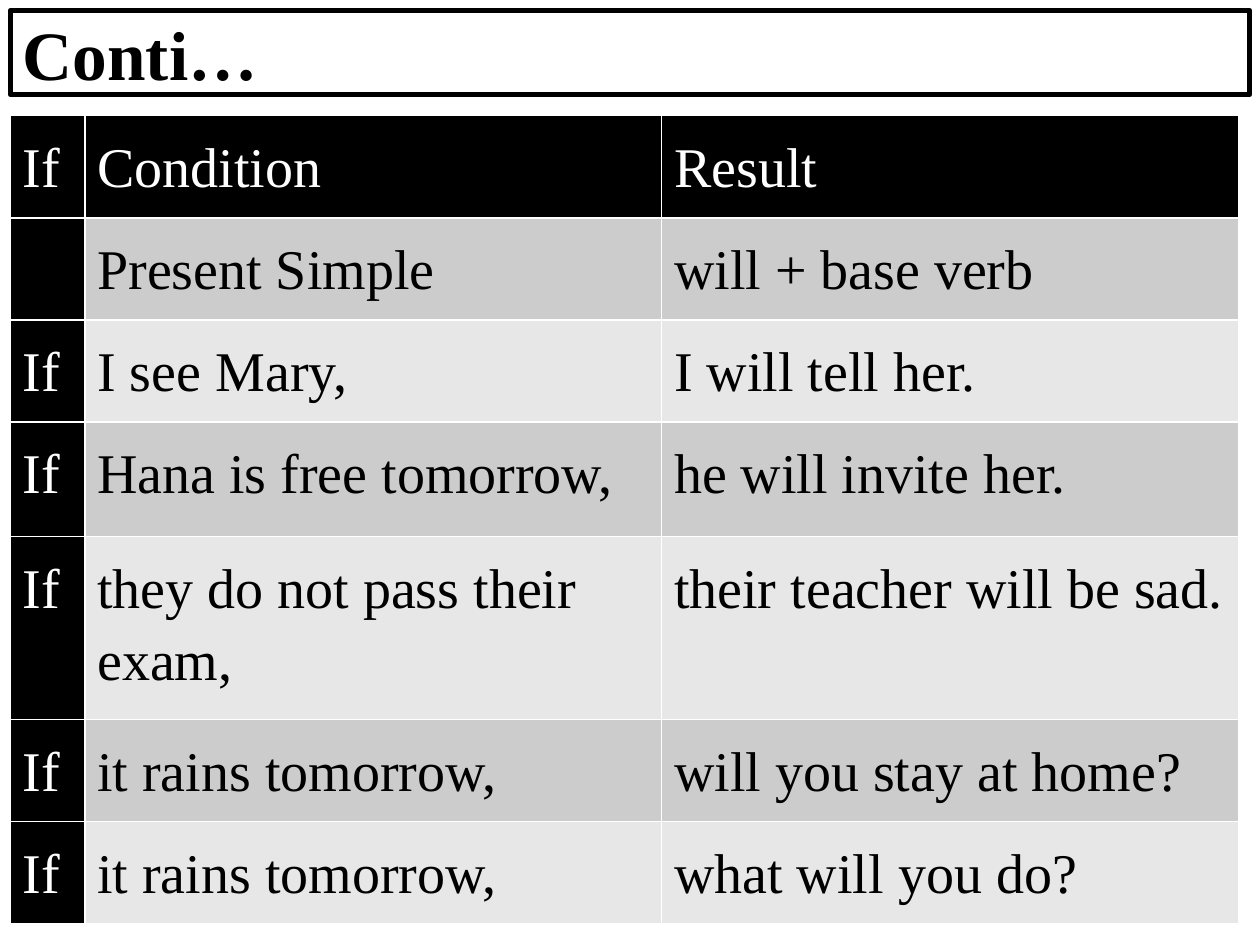
from lxml.etree import SubElement
from pptx import Presentation
from pptx.dml.color import RGBColor
from pptx.enum.shapes import MSO_SHAPE
from pptx.enum.text import MSO_ANCHOR, PP_ALIGN
from pptx.oxml.ns import qn
from pptx.util import Cm, Pt

BLACK = RGBColor(0x00, 0x00, 0x00)
WHITE = RGBColor(0xFF, 0xFF, 0xFF)
DARK_BAND = RGBColor(0xCC, 0xCC, 0xCC)
LIGHT_BAND = RGBColor(0xE7, 0xE7, 0xE7)

ROWS = [
    ("If", "Condition", "Result"),
    ("", "Present Simple", "will + base verb"),
    ("If", "I see Mary,", "I will tell her."),
    ("If", "Hana is free tomorrow,", "he will invite her."),
    ("If", "they do not pass their exam,", "their teacher will be sad."),
    ("If", "it rains tomorrow,", "will you stay at home?"),
    ("If", "it rains tomorrow,", "what will you do?"),
]
COLUMN_WIDTHS = [1.5, 11.63, 11.63]
ROW_HEIGHTS = [2.06, 2.06, 2.06, 2.31, 3.68, 2.06, 2.06]


def write_text(text_frame, text, size=32, color=BLACK, bold=False, line_spacing=1.0):
    text_frame.word_wrap = True
    paragraph = text_frame.paragraphs[0]
    paragraph.alignment = PP_ALIGN.LEFT
    paragraph.line_spacing = line_spacing
    paragraph.font.size = Pt(size)
    if text:
        run = paragraph.add_run()
        run.text = text
        run.font.name = "Times New Roman"
        run.font.size = Pt(size)
        run.font.bold = bold
        run.font.color.rgb = color


def add_borders(cell, color, width):
    properties = cell._tc.get_or_add_tcPr()
    for position, side in enumerate(("lnL", "lnR", "lnT", "lnB")):
        line = SubElement(properties, qn(f"a:{side}"), w=str(Pt(width)))
        fill = SubElement(line, qn("a:solidFill"))
        SubElement(fill, qn("a:srgbClr"), val=str(color))
        properties.insert(position, line)


presentation = Presentation()
presentation.slide_width = Cm(25.4)
presentation.slide_height = Cm(19.05)
slide = presentation.slides.add_slide(presentation.slide_layouts[6])

title = slide.shapes.add_shape(MSO_SHAPE.RECTANGLE, Cm(0.21), Cm(0.21), Cm(24.98), Cm(1.7))
title.shadow.inherit = False
title.fill.background()
title.line.color.rgb = BLACK
title.line.width = Pt(3)
title.text_frame.vertical_anchor = MSO_ANCHOR.MIDDLE
write_text(title.text_frame, "Conti…", size=39.6, bold=True)

table = slide.shapes.add_table(
    len(ROWS), len(COLUMN_WIDTHS), Cm(0.21), Cm(2.33), Cm(sum(COLUMN_WIDTHS)), Cm(sum(ROW_HEIGHTS))
).table
for column, width in zip(table.columns, COLUMN_WIDTHS):
    column.width = Cm(width)

for row_index, (texts, height) in enumerate(zip(ROWS, ROW_HEIGHTS)):
    table.rows[row_index].height = Cm(height)
    for column_index, text in enumerate(texts):
        is_heading = row_index == 0 or column_index == 0
        band = DARK_BAND if row_index % 2 else LIGHT_BAND
        cell = table.cell(row_index, column_index)
        cell.margin_left = cell.margin_right = cell.margin_top = cell.margin_bottom = Cm(0.25)
        cell.fill.solid()
        cell.fill.fore_color.rgb = BLACK if is_heading else band
        add_borders(cell, WHITE, 1)
        write_text(cell.text_frame, text, color=WHITE if is_heading else BLACK, line_spacing=1.15)

presentation.save("out.pptx")
